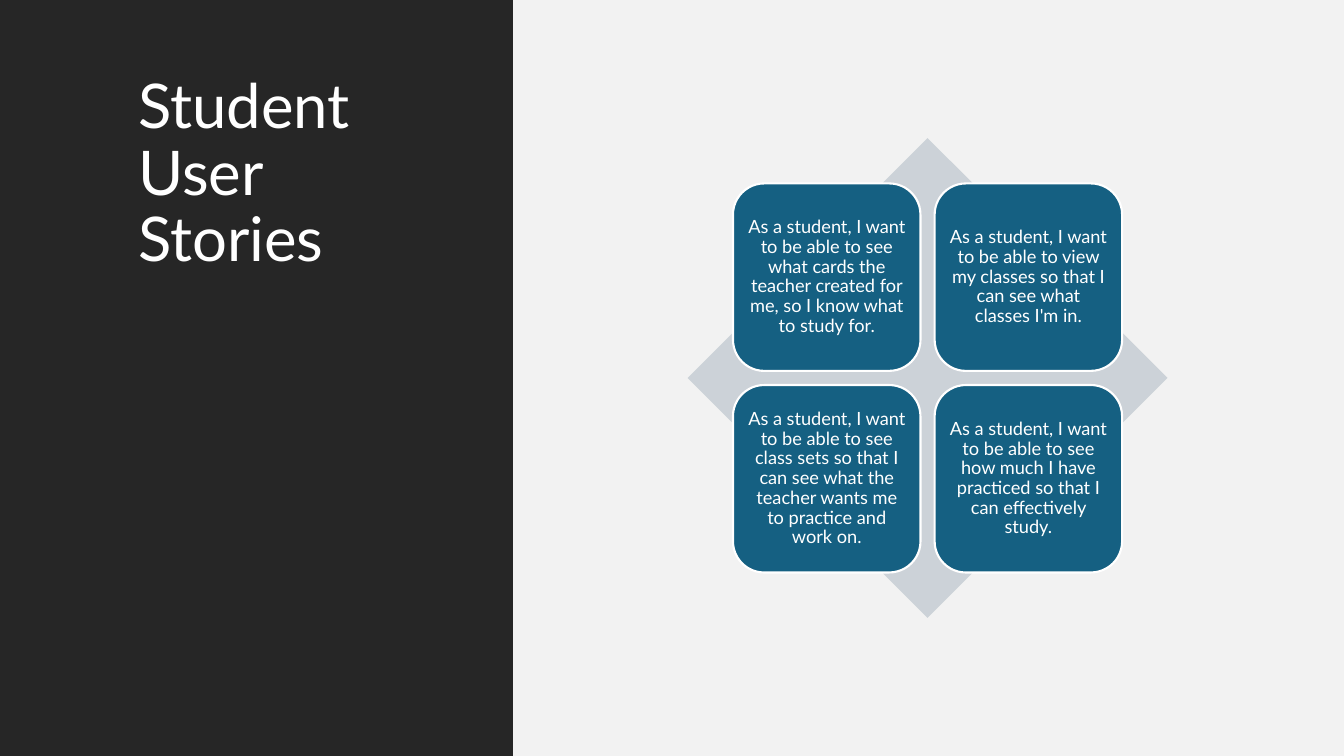
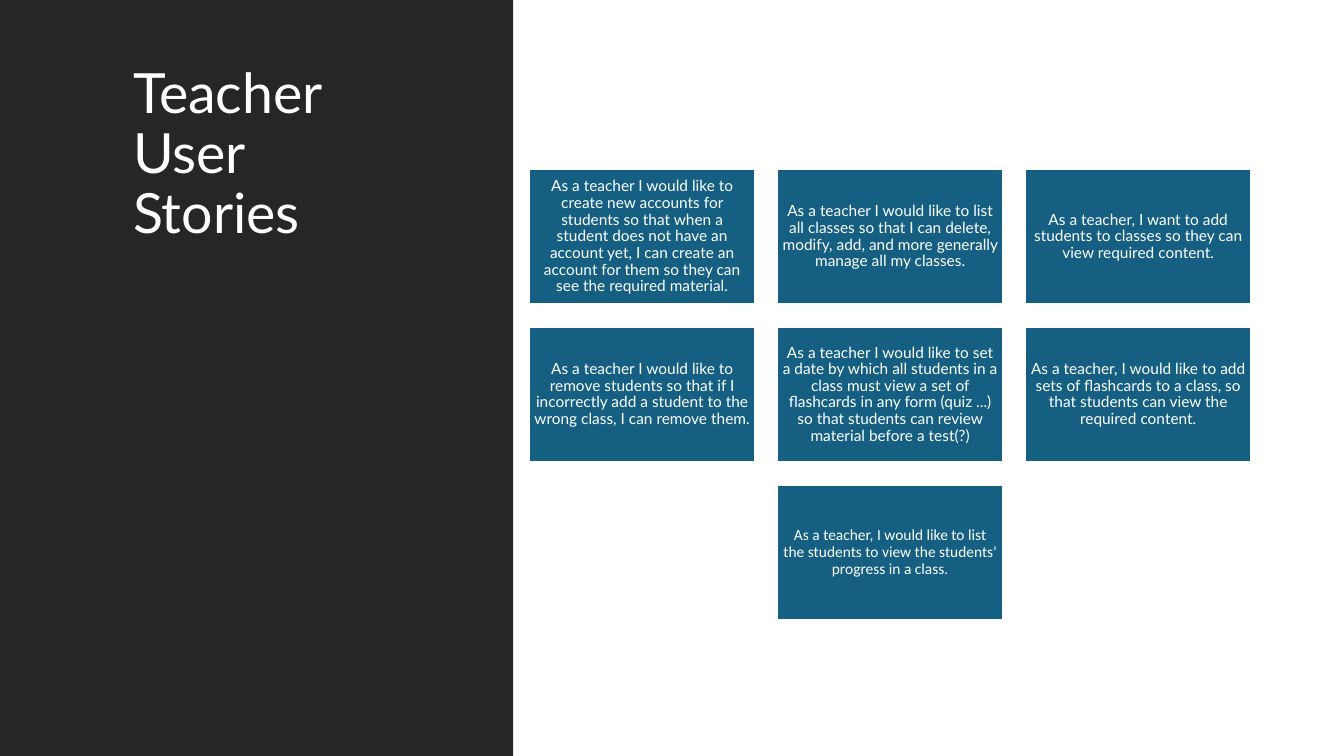
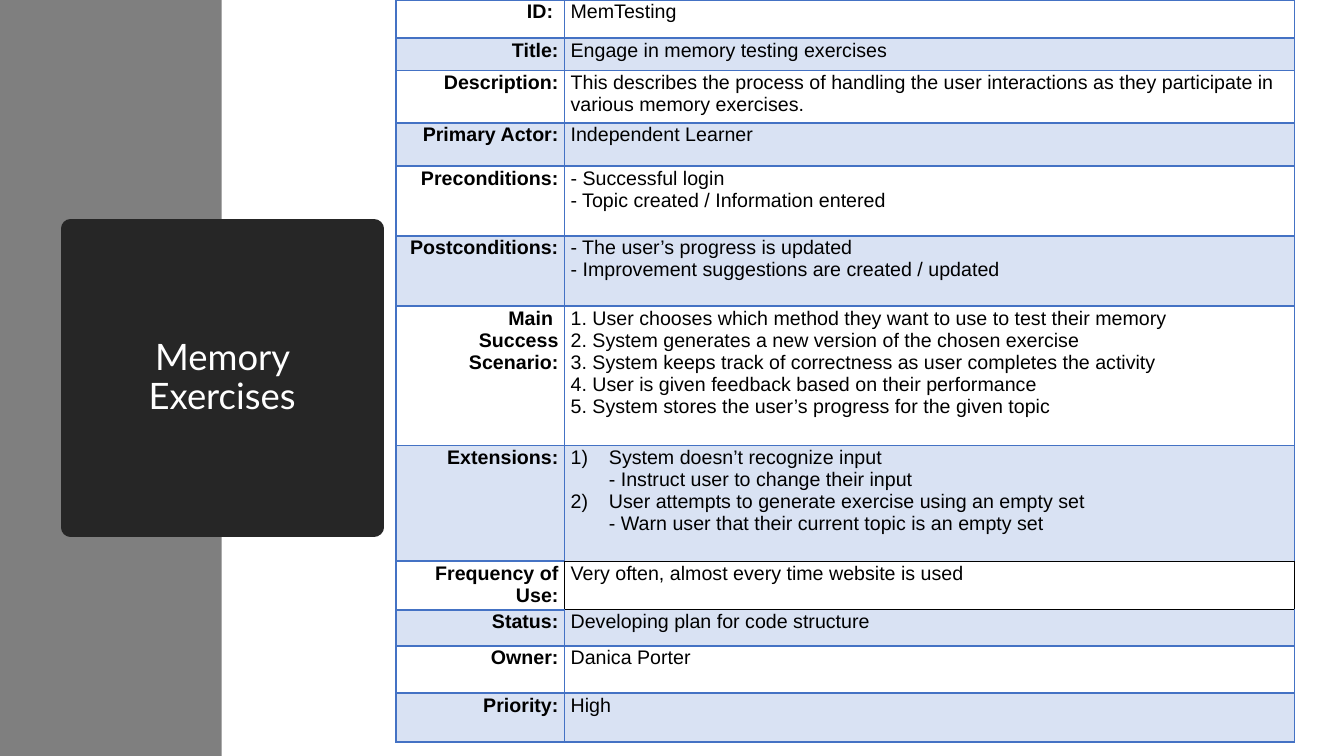
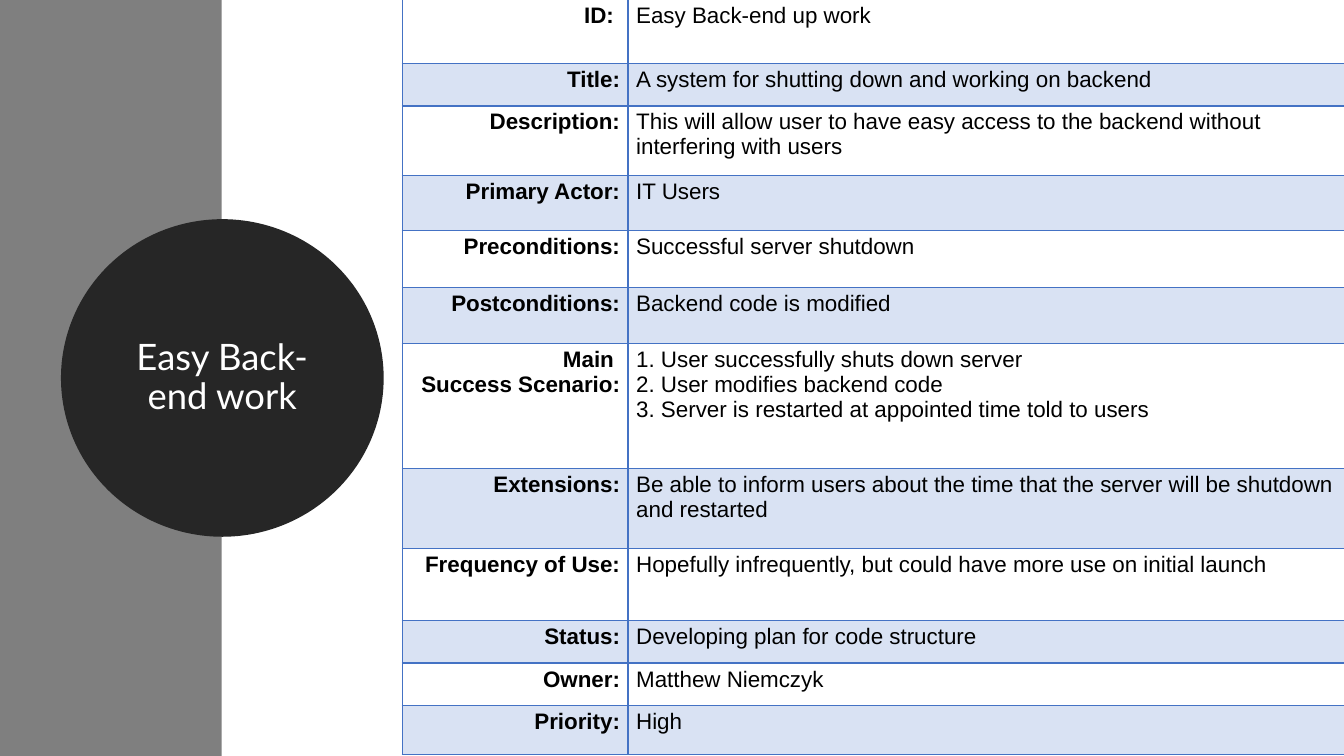
import pptx
import pptx.util
import pptx.dml.color
import pptx.enum.shapes
import pptx.enum.text
import pptx.oxml
import pptx.oxml.ns

Inches, Pt = pptx.util.Inches, pptx.util.Pt
RGB = pptx.dml.color.RGBColor.from_string
SHAPE = pptx.enum.shapes.MSO_SHAPE
ALIGN = pptx.enum.text.PP_ALIGN
ANCHOR = pptx.enum.text.MSO_ANCHOR
FIT = pptx.enum.text.MSO_AUTO_SIZE

COLORS = {
    "dark": "262626", "gray": "7F7F7F", "panel": "F2F2F2", "white": "FFFFFF",
    "card": "156082", "diamond": "CCD2D8", "border": "4472C4",
    "stripe": "D9E2F3", "black": "000000",
}
TITLE_ONLY = 5
CARD_FRAME = {"word_wrap": True, "vertical_anchor": ANCHOR.MIDDLE}
CARD_FRAME.update({f"margin_{side}": Inches(0.05)
                   for side in ("left", "top", "right", "bottom")})


def add_box(s, kind, box, fill, line=None, width=0):
    """Add a flat shape; box is left, top, width, height in inches."""
    sp = s.shapes.add_shape(kind, *map(Inches, box))
    sp.shadow.inherit = False
    sp.fill.solid()
    sp.fill.fore_color.rgb = RGB(COLORS[fill])
    if line:
        sp.line.color.rgb = RGB(COLORS[line])
        sp.line.width = Pt(width)
    else:
        sp.line.fill.background()
    return sp


def write(tf, lines, size, color="white", name="Lato", bold=False,
          align=ALIGN.LEFT, spacing=0.9, **frame):
    """Fill a text frame, one paragraph per line; frame holds its attributes."""
    for key, value in frame.items():
        setattr(tf, key, value)
    for i, line in enumerate(lines):
        p = tf.add_paragraph() if i else tf.paragraphs[0]
        p.text = line
        p.alignment = align
        p.line_spacing = spacing
        for r in p.runs:
            font = {"size": Pt(size), "name": name, "bold": bold}
            for key, value in font.items():
                setattr(r.font, key, value)
            r.font.color.rgb = RGB(COLORS[color])


prs = pptx.Presentation()
prs.slide_width, prs.slide_height = Inches(13.33), Inches(7.5)
layout = prs.slide_layouts[TITLE_ONLY]

# User story slides: dark title band and a grid of cards
student_stories = [
    "As a student, I want to be able to see what cards the teacher created for me, so I know what to study for.",
    "As a student, I want to be able to view my classes so that I can see what classes I'm in.",
    "As a student, I want to be able to see class sets so that I can see what the teacher wants me to practice and work on.",
    "As a student, I want to be able to see how much I have practiced so that I can effectively study.",
]
teacher_stories = [
    "As a teacher I would like to create new accounts for students so that when a student does not have an account yet, I can create an account for them so they can see the required material.",
    "As a teacher I would like to list all classes so that I can delete, modify, add, and more generally manage all my classes.",
    "As a teacher, I want to add students to classes so they can view required content.",
    "As a teacher I would like to remove students so that if I incorrectly add a student to the wrong class, I can remove them.",
    "As a teacher I would like to set a date by which all students in a class must view a set of flashcards in any form (quiz ...) so that students can review material before a test(?)",
    "As a teacher, I would like to add sets of flashcards to a class, so that students can view the required content.",
    "As a teacher, I would like to list the students to view the students' progress in a class.",
]
story_slides = [
    {"title": "Student User Stories", "title_box": (1.27, 0.7, 3.17, 6.1),
     "title_size": 44, "anchor": ANCHOR.TOP, "stories": student_stories,
     "backdrop": [(SHAPE.RECTANGLE, (5.09, 0, 8.24, 7.5), "panel"),
                  (SHAPE.DIAMOND, (6.82, 1.37, 4.76, 4.76), "diamond")],
     "kind": SHAPE.ROUNDED_RECTANGLE, "columns": 2, "origin": (7.27, 1.82),
     "card": (1.86, 1.86), "pitch": (2, 2), "size": 13},
    {"title": "Teacher\nUser\nStories", "title_box": (1.22, 0.75, 3.24, 1.58),
     "title_size": 39.6, "anchor": ANCHOR.MIDDLE, "stories": teacher_stories,
     "backdrop": [],
     "kind": SHAPE.RECTANGLE, "columns": 3, "origin": (5.25, 1.68),
     "card": (2.24, 1.34), "pitch": (2.46, 1.565), "size": 11},
]
for d in story_slides:
    s = prs.slides.add_slide(layout)
    add_box(s, SHAPE.RECTANGLE, (0, 0, 5.09, 7.5), "dark")
    for kind, box, fill in d["backdrop"]:
        add_box(s, kind, box, fill)

    columns, stories = d["columns"], d["stories"]
    for i, story in enumerate(stories):
        row, col = divmod(i, columns)
        in_row = min(columns, len(stories) - row * columns)
        col += (columns - in_row) / 2  # a short last row is centred
        left, top = (o + n * step for o, n, step
                     in zip(d["origin"], (col, row), d["pitch"]))
        sp = add_box(s, d["kind"], (left, top, *d["card"]), "card", "white", 1.5)
        name = "Calibri" if story == teacher_stories[-1] else "Lato"
        write(sp.text_frame, [story], d["size"], name=name,
              align=ALIGN.CENTER, **CARD_FRAME)

    title = s.shapes.title
    title.left, title.top, title.width, title.height = map(Inches, d["title_box"])
    write(title.text_frame, [d["title"]], d["title_size"], word_wrap=True,
          auto_size=FIT.NONE, vertical_anchor=d["anchor"])
    title.element.getparent().append(title.element)  # bring to front

# Use case slides: gray band, dark title badge and a two-column table
labels = [
    "ID: ", "Title:", "Description:", "Primary Actor:", "Preconditions:",
    "Postconditions:", "Main \nSuccess Scenario:", "Extensions:",
    "Frequency of Use:", "Status:", "Owner:", "Priority:",
]
EXTENSIONS, FREQUENCY, STATUS = 7, 8, 9
memory_values = [
    ["MemTesting"],
    ["Engage in memory testing exercises"],
    ["This describes the process of handling the user interactions as they participate in various memory exercises."],
    ["Independent Learner"],
    ["- Successful login", "- Topic created / Information entered"],
    ["- The user’s progress is updated",
     "- Improvement suggestions are created / updated"],
    ["1. User chooses which method they want to use to test their memory",
     "2. System generates a new version of the chosen exercise",
     "3. System keeps track of correctness as user completes the activity",
     "4. User is given feedback based on their performance",
     "5. System stores the user’s progress for the given topic"],
    ["System doesn’t recognize input",
     "- Instruct user to change their input",
     "User attempts to generate exercise using an empty set",
     "- Warn user that their current topic is an empty set"],
    ["Very often, almost every time website is used"],
    ["Developing plan for code structure"],
    ["Danica Porter"],
    ["High"],
]
backend_values = [
    ["Easy Back-end up work"],
    ["A system for shutting down and working on backend"],
    ["This will allow user to have easy access to the backend without interfering with users"],
    ["IT Users"],
    ["Successful server shutdown"],
    ["Backend code is modified"],
    ["1. User successfully shuts down server",
     "2. User modifies backend code",
     "3. Server is restarted at appointed time told to users"],
    ["Be able to inform users about the time that the server will be shutdown and restarted"],
    ["Hopefully infrequently, but could have more use on initial launch"],
    ["Developing plan for code structure"],
    ["Matthew Niemczyk"],
    ["High"],
]
black_edges = {(EXTENSIONS, 1): "B", (FREQUENCY, 0): "R",
               (FREQUENCY, 1): "LRTB", (STATUS, 1): "T"}
use_cases = [
    {"title": "Memory Exercises", "round": False, "values": memory_values,
     "at": (3.93, 0), "cols": [1.67, 7.24], "size": 14, "border": 1.5,
     "rows": [0.38, 0.32, 0.52, 0.43, 0.69, 0.7, 1.38, 1.15, 0.48, 0.36, 0.47, 0.48],
     "margins": (0.06, 0.01, 0.06, 0), "black_edges": black_edges},
    {"title": "Easy Back-end work", "round": True, "values": backend_values,
     "at": (3.99, -0.01), "cols": [2.24, 7.11], "size": 16, "border": 1.14,
     "rows": [0.64, 0.42, 0.69, 0.55, 0.56, 0.56, 1.24, 0.79, 0.72, 0.42, 0.42, 0.49],
     "margins": (0.08, 0.04, 0.08, 0.04), "black_edges": {}},
]
badge = (0.7, 2.27, 3.01, 2.96)
for d in use_cases:
    s = prs.slides.add_slide(layout)
    add_box(s, SHAPE.RECTANGLE, (0, 0, 2.2, 7.5), "gray")

    cols, rows = d["cols"], d["rows"]
    size = map(Inches, (*d["at"], sum(cols), sum(rows)))
    table = s.shapes.add_table(len(rows), len(cols), *size).table
    table.first_row = table.horz_banding = False
    for column, width in zip(table.columns, cols):
        column.width = Inches(width)
    for i, height in enumerate(rows):
        table.rows[i].height = Inches(height)
        for j, lines in enumerate(([labels[i]], d["values"][i])):
            cell = table.cell(i, j)
            for side, margin in zip(("left", "top", "right", "bottom"), d["margins"]):
                setattr(cell, f"margin_{side}", Inches(margin))
            write(cell.text_frame, lines, d["size"], "black", "Arial",
                  bold=j == 0, align=ALIGN.LEFT if j else ALIGN.RIGHT, spacing=1)
            tcPr = cell._tc.get_or_add_tcPr()
            for edge in "LRTB":
                black = edge in d["black_edges"].get((i, j), "")
                color, width = ("black", 1) if black else ("border", d["border"])
                tcPr.append(pptx.oxml.parse_xml(
                    f'<a:ln{edge} {pptx.oxml.ns.nsdecls("a")} w="{Pt(width)}">'
                    f'<a:solidFill><a:srgbClr val="{COLORS[color]}"/></a:solidFill>'
                    f'</a:ln{edge}>'))
            cell.fill.solid()
            cell.fill.fore_color.rgb = RGB(COLORS["stripe" if i % 2 else "white"])

    if d["values"] is memory_values:
        # Numbered extensions, each followed by an indented remark
        for n, p in enumerate(table.cell(EXTENSIONS, 1).text_frame.paragraphs):
            pPr = p._p.get_or_add_pPr()
            pPr.set("marL", str(Inches(0.38)))
            if n % 2 == 0:
                pPr.set("indent", str(Inches(-0.38)))
                pPr.append(pptx.oxml.parse_xml(
                    f'<a:buAutoNum {pptx.oxml.ns.nsdecls("a")} '
                    f'type="arabicParenR" startAt="{n // 2 + 1}"/>'))

    title = s.shapes.title
    title.left, title.top, title.width, title.height = map(Inches, badge)
    if d["round"]:
        add_box(s, SHAPE.OVAL, badge, "dark", "dark", 13.75)
    else:
        title.fill.solid()
        title.fill.fore_color.rgb = RGB(COLORS["dark"])
        title.line.color.rgb = RGB(COLORS["dark"])
        title.line.width = Pt(13.75)
    write(title.text_frame, [d["title"]], 26, align=ALIGN.CENTER,
          word_wrap=True, auto_size=FIT.NONE, vertical_anchor=ANCHOR.MIDDLE,
          margin_left=Inches(0.5), margin_right=Inches(0.5))
    title.element.getparent().append(title.element)  # bring to front

prs.save("out.pptx")
